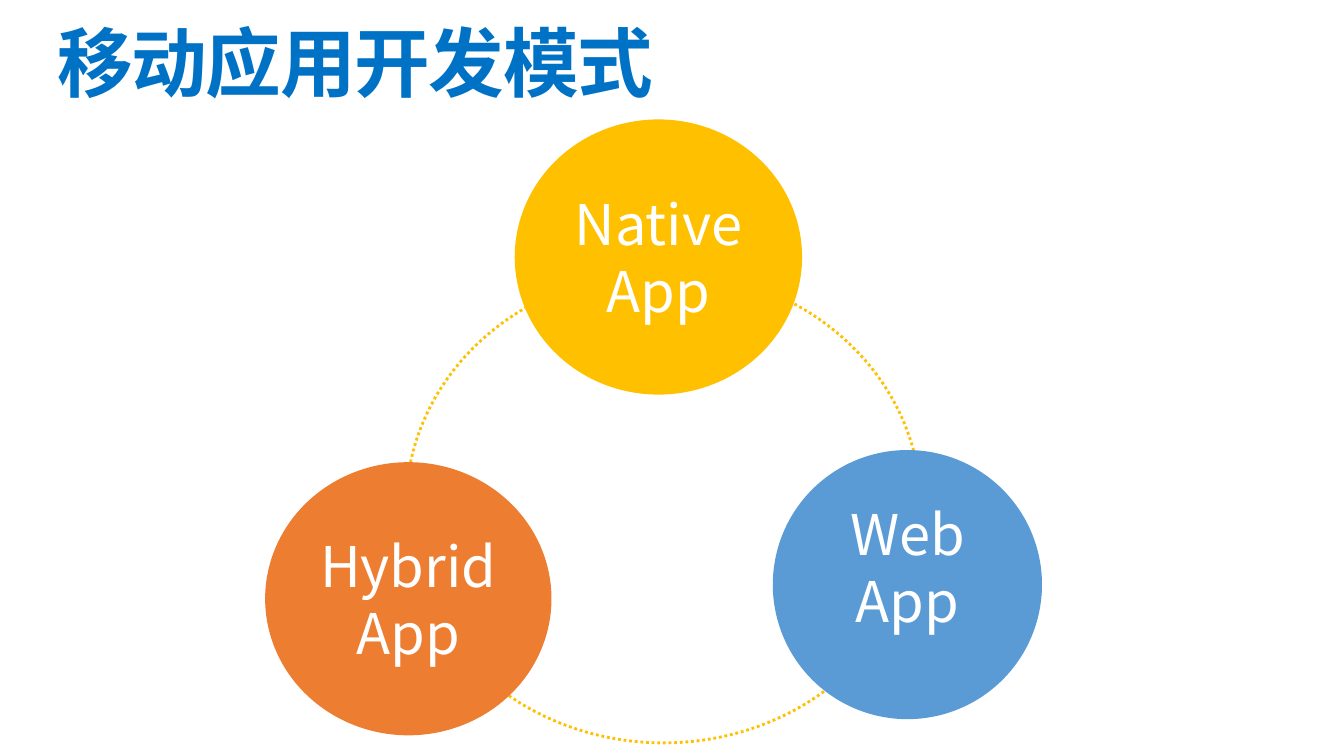
from pptx import Presentation
from pptx.dml.color import RGBColor
from pptx.enum.dml import MSO_LINE
from pptx.enum.shapes import MSO_SHAPE
from pptx.enum.text import MSO_ANCHOR, PP_ALIGN
from pptx.util import Inches, Pt

FONT = "Noto Sans CJK SC"
BLUE_TITLE = RGBColor(0x00, 0x72, 0xC6)
GOLD = RGBColor(0xFF, 0xC0, 0x00)
ORANGE = RGBColor(0xED, 0x7D, 0x31)
BLUE = RGBColor(0x5B, 0x9B, 0xD5)
WHITE = RGBColor(0xFF, 0xFF, 0xFF)

# Centre x, centre y, width, height in inches; last value is the bottom inset
APPS = [
    ("Hybrid\nApp", ORANGE, (4.05, 5.94, 2.84, 2.71), 0.05),
    ("Native\nApp", GOLD, (6.53, 2.55, 2.85, 2.73), 0.05),
    ("Web\nApp", BLUE, (9.0, 5.8, 2.67, 2.67), 0.41),
]
RING = (6.58, 5.03, 5.11, 4.68)


def format_runs(p, size, color, bold=False):
    for r in p.runs:
        r.font.name = FONT
        r.font.size = Pt(size)
        r.font.bold = bold
        r.font.color.rgb = color
        # East Asian characters take the same font
        ea = r.font._element.makeelement(
            "{http://schemas.openxmlformats.org/drawingml/2006/main}ea",
            {"typeface": FONT})
        r.font._element.find("{*}latin").addnext(ea)


def add_title(slide, text):
    sp = slide.shapes.title
    sp.left, sp.top = Inches(0.57), Inches(0.25)
    sp.width, sp.height = Inches(12.19), Inches(0.82)
    tf = sp.text_frame
    tf.text = text
    tf.margin_left = tf.margin_right = tf.margin_top = tf.margin_bottom = 0
    tf.vertical_anchor = MSO_ANCHOR.MIDDLE
    p = tf.paragraphs[0]
    p.alignment = PP_ALIGN.LEFT
    p.line_spacing = 0.9
    format_runs(p, 54, BLUE_TITLE, bold=True)
    p.runs[0].font._element.set("spc", "-100")


def add_ellipse(slide, box):
    x, y, w, h = box
    sp = slide.shapes.add_shape(
        MSO_SHAPE.OVAL, Inches(x - w / 2), Inches(y - h / 2),
        Inches(w), Inches(h))
    sp.shadow.inherit = False
    return sp


def add_ring(slide):
    sp = add_ellipse(slide, RING)
    sp.fill.background()
    sp.line.color.rgb = GOLD
    sp.line.width = Pt(2)
    sp.line.dash_style = MSO_LINE.ROUND_DOT


def add_app(slide, text, color, box, bottom):
    sp = add_ellipse(slide, box)
    sp.fill.solid()
    sp.fill.fore_color.rgb = color
    sp.line.fill.background()
    tf = sp.text_frame
    tf.text = text
    tf.word_wrap = True
    tf.vertical_anchor = MSO_ANCHOR.MIDDLE
    tf.margin_bottom = Inches(bottom)
    for p in tf.paragraphs:
        p.alignment = PP_ALIGN.CENTER
        format_runs(p, 40, WHITE)


def main():
    prs = Presentation()
    prs.slide_width, prs.slide_height = Inches(13.33), Inches(7.5)
    slide = prs.slides.add_slide(prs.slide_layouts[5])
    add_title(slide, "移动应用开发模式")
    # Dotted ring behind the three kinds of app
    add_ring(slide)
    for app in APPS:
        add_app(slide, *app)
    prs.save("out.pptx")


if __name__ == "__main__":
    main()
